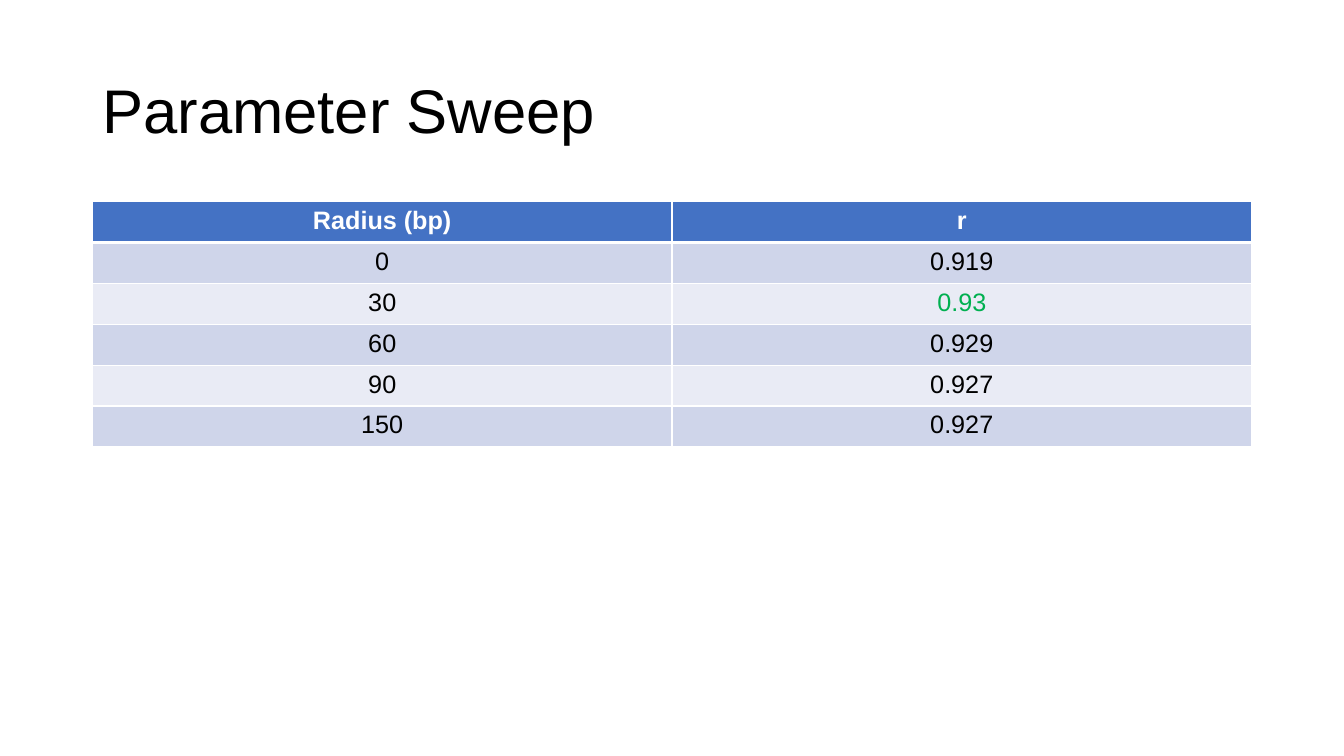
import pptx
import pptx.dml.color
import pptx.enum.text
import pptx.oxml
import pptx.oxml.ns
import pptx.util

Cm = pptx.util.Cm
Pt = pptx.util.Pt
Align = pptx.enum.text.PP_ALIGN
Anchor = pptx.enum.text.MSO_ANCHOR

BLACK, WHITE, GREEN = "000000", "FFFFFF", "00B050"
HEAD = "4472C4"
BANDS = ["CFD5EA", "E9EBF5"]

SWEEP = [
    ("Radius (bp)", "r"),
    ("0", "0.919"),
    ("30", "0.93"),
    ("60", "0.929"),
    ("90", "0.927"),
    ("150", "0.927"),
]
BEST = "0.93"


def color(code):
    return pptx.dml.color.RGBColor.from_string(code)


class Deck:
    font = "Arial"

    def __init__(self, show):
        self.slide = show.slides.add_slide(show.slide_layouts[6])

    def style(self, para, size, code, bold=False):
        for run in para.runs:
            run.font.name = self.font
            run.font.size = Pt(size)
            run.font.bold = bold
            run.font.color.rgb = color(code)

    def title(self, text, left, top, width, height):
        frame = self.slide.shapes.add_textbox(
            Cm(left), Cm(top), Cm(width), Cm(height)).text_frame
        frame.word_wrap = True
        frame.vertical_anchor = Anchor.MIDDLE
        frame.text = text
        para = frame.paragraphs[0]
        para.line_spacing = 0.9
        self.style(para, 44, BLACK)

    def edge(self, cell, side, width):
        """Draw a white border on one side (L, R, T or B) of a cell."""
        cell.fill.background()
        props = cell._tc.get_or_add_tcPr()
        line = pptx.oxml.parse_xml(
            f'<a:ln{side} {pptx.oxml.ns.nsdecls("a")} w="{Pt(width)}">'
            f'<a:solidFill><a:srgbClr val="{WHITE}"/></a:solidFill>'
            f'</a:ln{side}>')
        props.insert(len(props) - 1, line)

    def table(self, rows, left, top, width, height):
        grid = self.slide.shapes.add_table(
            len(rows), len(rows[0]),
            Cm(left), Cm(top), Cm(width), Cm(height)).table
        for i, row in enumerate(rows):
            for j, text in enumerate(row):
                cell = grid.cell(i, j)
                head = i == 0
                for side in "LRTB":
                    thick = (i, side) in [(0, "B"), (1, "T")]
                    self.edge(cell, side, 3 if thick else 1)
                cell.fill.solid()
                cell.fill.fore_color.rgb = color(
                    HEAD if head else BANDS[(i - 1) % 2])
                cell.text_frame.text = text
                para = cell.text_frame.paragraphs[0]
                para.alignment = Align.CENTER
                ink = WHITE if head else GREEN if text == BEST else BLACK
                self.style(para, 18, ink, head)


def main():
    show = pptx.Presentation()
    show.slide_width, show.slide_height = Cm(33.87), Cm(19.05)
    deck = Deck(show)
    left, width = 2.33, 29.21
    deck.title("Parameter Sweep", left, 1.01, width, 3.68)
    deck.table(SWEEP, left, 5.08, width, 6.18)
    show.save("out.pptx")


if __name__ == "__main__":
    main()
